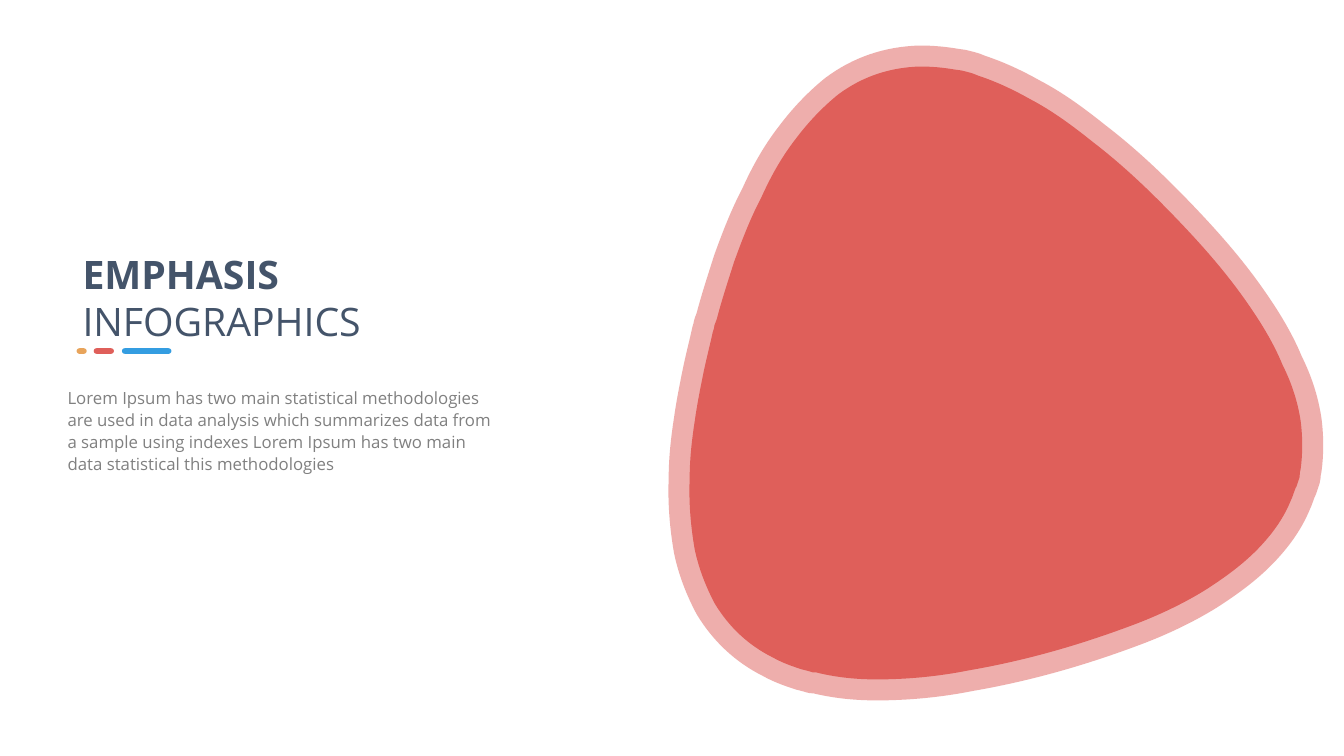
from dataclasses import dataclass
from math import cos, radians, sin

from lxml.etree import SubElement
from pptx import Presentation
from pptx.dml.color import RGBColor
from pptx.enum.shapes import MSO_SHAPE as Preset
from pptx.enum.text import MSO_AUTO_SIZE as AutoSize
from pptx.oxml.ns import qn
from pptx.util import Inches, Pt

WIDTH, HEIGHT = Inches(13.33), Inches(7.5)
ROWS = 75
CELL = HEIGHT / ROWS

BLOB_CENTER = (99.85, 40.05)
BLOB_ANGLE = 105
BLOB_START = (80.6, 66.7)
BLOB_CURVES = [
    (80.3, 66.6, 79.9, 66.5, 79.5, 66.4), (79.4, 66.4, 79.3, 66.3, 79.2, 66.3),
    (78.3, 66.0, 77.5, 65.7, 76.6, 65.2), (74.2, 64.0, 72.3, 62.2, 70.9, 59.9),
    (70.0, 58.2, 69.3, 56.4, 68.9, 54.5), (68.5, 52.2, 68.3, 49.9, 68.4, 47.5),
    (68.4, 45.6, 68.6, 43.7, 68.9, 41.8), (69.1, 40.3, 69.4, 38.8, 69.7, 37.3),
    (70.0, 35.8, 70.4, 34.3, 70.7, 32.9), (70.8, 32.8, 70.8, 32.7, 70.8, 32.6),
    (70.8, 32.4, 70.9, 32.1, 71.0, 31.9), (71.0, 31.8, 71.1, 31.7, 71.1, 31.6),
    (71.6, 29.7, 72.2, 27.9, 72.8, 26.0), (73.6, 23.8, 74.4, 21.7, 75.5, 19.6),
    (76.4, 17.6, 77.5, 15.6, 78.9, 13.8), (80.1, 12.2, 81.5, 10.7, 83.1, 9.4),
    (85.5, 7.6, 88.2, 6.7, 91.2, 6.6), (92.4, 6.6, 93.5, 6.7, 94.7, 6.9),
    (94.9, 6.9, 95.2, 7.0, 95.4, 7.0), (95.8, 7.1, 96.2, 7.2, 96.5, 7.3),
    (96.7, 7.4, 96.8, 7.4, 97.0, 7.5), (98.8, 8.1, 100.5, 8.9, 102.1, 9.8),
    (104.4, 11.0, 106.4, 12.5, 108.4, 14.1), (111.4, 16.4, 114.1, 19.0, 116.6, 21.6),
    (119.1, 24.2, 121.5, 26.9, 123.6, 29.9), (125.0, 31.9, 126.3, 34.0, 127.2, 36.2),
    (128.1, 38.0, 128.7, 39.8, 129.0, 41.8), (129.2, 43.4, 129.2, 45.0, 129.0, 46.5),
    (128.9, 46.8, 128.9, 47.1, 128.9, 47.3), (128.8, 47.6, 128.7, 47.9, 128.6, 48.2),
    (128.6, 48.3, 128.5, 48.4, 128.5, 48.4), (128.3, 48.9, 128.2, 49.3, 128.0, 49.7),
    (127.3, 51.4, 126.3, 52.8, 125.0, 54.2), (123.4, 55.9, 121.6, 57.2, 119.6, 58.5),
    (117.5, 59.8, 115.2, 60.9, 112.9, 61.8), (107.4, 63.9, 101.9, 65.5, 96.1, 66.5),
    (93.1, 67.1, 90.0, 67.4, 86.9, 67.4), (84.9, 67.4, 82.9, 67.2, 80.9, 66.7),
    (80.8, 66.7, 80.7, 66.7, 80.6, 66.7),
]


@dataclass(frozen=True)
class Theme:
    """Colours, font and type sizes of the slide."""
    font: str = "Open Sans"
    title_size: int = 28
    body_size: int = 12
    outline: int = 30
    outline_alpha: int = 50
    navy: str = "44546A"
    grey: str = "808080"
    red: str = "DF5F5A"
    blue: str = "349DE1"
    orange: str = "E8A45B"


THEME = Theme()


def cells(*values):
    """Turn grid cells into slide lengths."""
    return [round(value * CELL) for value in values]


def paint(shape, color):
    """Give a shape a flat fill without line or shadow."""
    shape.shadow.inherit = False
    shape.fill.solid()
    shape.fill.fore_color.rgb = RGBColor.from_string(color)
    shape.line.fill.background()


def turn(point, center, angle):
    """Rotate a point clockwise about a center."""
    dx, dy = point[0] - center[0], point[1] - center[1]
    c, s = cos(radians(angle)), sin(radians(angle))
    return center[0] + dx * c - dy * s, center[1] + dx * s + dy * c


def bend(shape):
    """Merge each three straight segments into one cubic curve."""
    lines = list(shape._element.iter(qn("a:lnTo")))
    for triple in zip(lines[::3], lines[1::3], lines[2::3]):
        outline = triple[0].getparent()
        curve = SubElement(outline, qn("a:cubicBezTo"))
        outline.replace(triple[0], curve)
        for line in triple:
            curve.append(line[0])
        for line in triple[1:]:
            outline.remove(line)


def add_blob(page, color):
    """Add the curved, turned blob with a translucent rim."""
    points = [BLOB_START] + [pair for curve in BLOB_CURVES
                             for pair in zip(curve[::2], curve[1::2])]
    first, *rest = [cells(*turn(point, BLOB_CENTER, -BLOB_ANGLE)) for point in points]
    builder = page.shapes.build_freeform(*first)
    builder.add_line_segments(rest, close=True)
    blob = builder.convert_to_shape()
    bend(blob)
    half_width, half_height = blob.width / 2, blob.height / 2
    middle = (blob.left + half_width, blob.top + half_height)
    x, y = turn(middle, cells(*BLOB_CENTER), BLOB_ANGLE)
    blob.left, blob.top = round(x - half_width), round(y - half_height)
    blob.rotation = BLOB_ANGLE
    paint(blob, color)
    blob.line.color.rgb = RGBColor.from_string(color)
    blob.line.width = Pt(THEME.outline)
    rim = blob.line._get_or_add_ln()
    tint = rim.find(".//" + qn("a:srgbClr"))
    SubElement(tint, qn("a:alpha"), val=str(THEME.outline_alpha * 1000))
    SubElement(rim, qn("a:round"))


def add_bars(page, bars, top, height):
    """Add a group of pill-shaped bars on one row."""
    group = page.shapes.add_group_shape()
    for left, width, color in bars:
        bar = group.shapes.add_shape(
            Preset.ROUNDED_RECTANGLE, *cells(left, top, width, height))
        bar.adjustments[0] = 0.5
        paint(bar, color)


def add_box(page, area, wrap=True, margins=(1, 0.5)):
    """Add an empty text box on the grid and return its frame."""
    frame = page.shapes.add_textbox(*cells(*area)).text_frame
    frame.word_wrap = wrap
    frame.auto_size = AutoSize.SHAPE_TO_FIT_TEXT
    side, edge = cells(*margins)
    frame.margin_left = frame.margin_right = side
    frame.margin_top = frame.margin_bottom = edge
    return frame


def write(para, text, size, color, bold=False, spacing=None):
    """Write one formatted span into a paragraph."""
    span = para.add_run()
    span.text = text
    span.font.name = THEME.font
    span.font.size = Pt(size)
    span.font.bold = bold
    span.font.color.rgb = RGBColor.from_string(color)
    if spacing:
        para.line_spacing = spacing


def main():
    """Build the slide and save the deck."""
    deck = Presentation()
    deck.slide_width, deck.slide_height = WIDTH, HEIGHT
    page = deck.slides.add_slide(deck.slide_layouts[6])

    add_blob(page, THEME.red)

    title = add_box(page, (7.2, 24.35, 29.9, 10.4), wrap=False)
    write(title.paragraphs[0], "EMPHASIS", THEME.title_size, THEME.navy, bold=True)
    write(title.add_paragraph(), "INFOGRAPHICS", THEME.title_size, THEME.navy)

    add_bars(page, [(12.1, 4.9, THEME.blue), (9.3, 2, THEME.red),
                    (7.6, 1, THEME.orange)], top=34.55, height=0.55)

    body = add_box(page, (5.5, 37.65, 45.2, 10.1), margins=(1.2, 0.6))
    write(body.paragraphs[0],
          "Lorem Ipsum has two main statistical methodologies are used in data "
          "analysis which summarizes data from a sample using indexes Lorem Ipsum "
          "has two main data statistical this methodologies",
          THEME.body_size, THEME.grey, spacing=1.1)

    deck.save("out.pptx")


if __name__ == "__main__":
    main()
